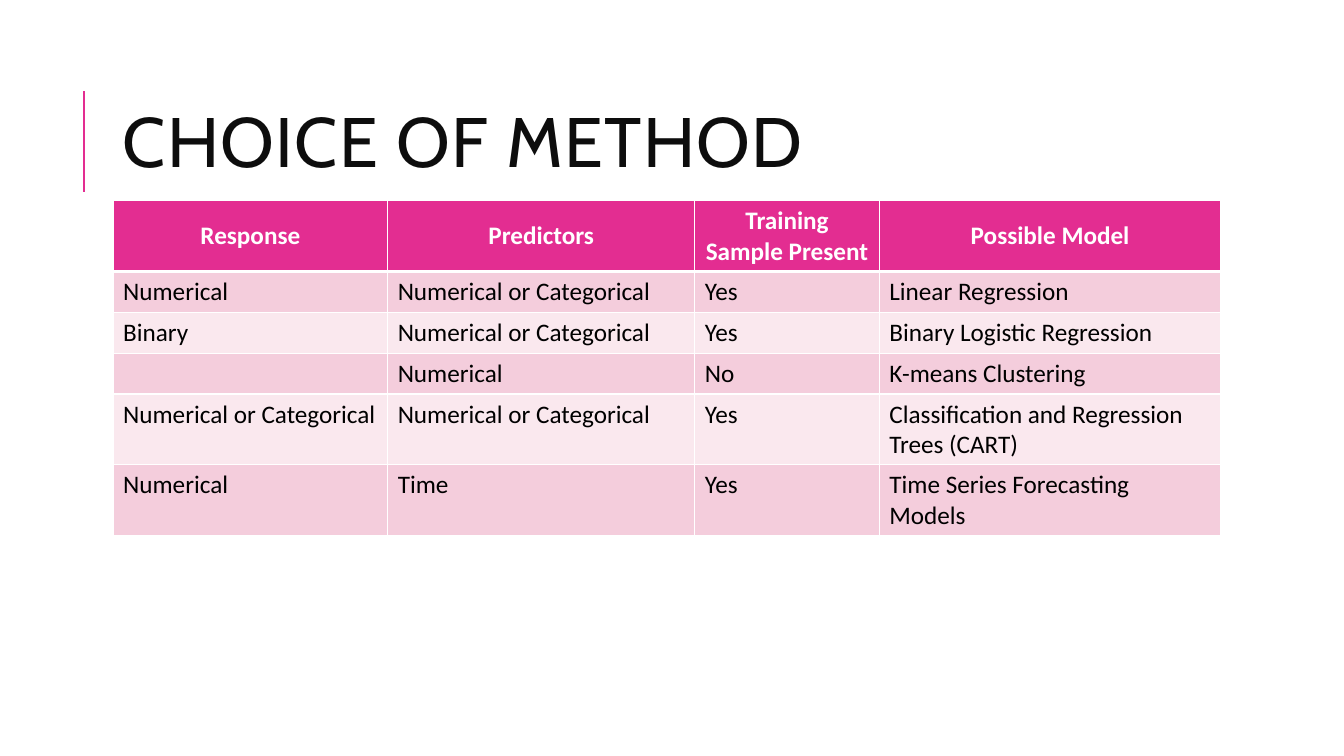
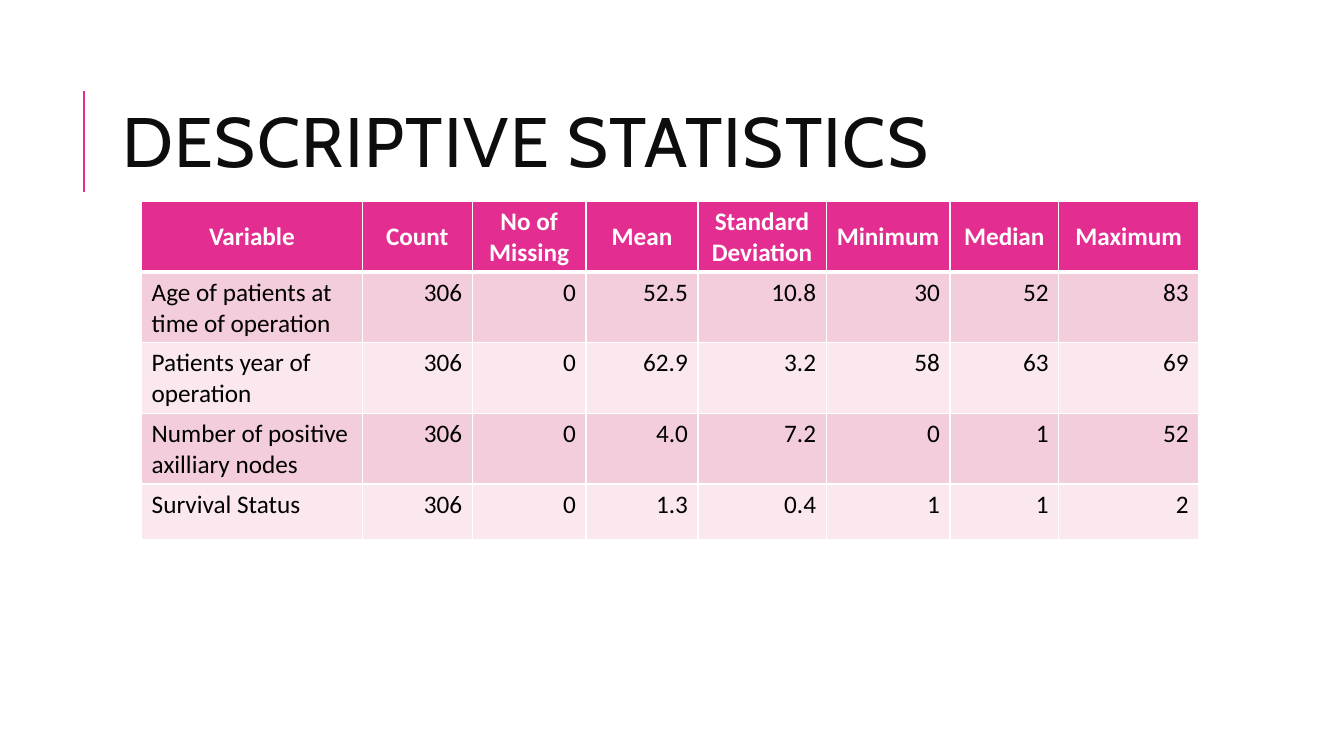
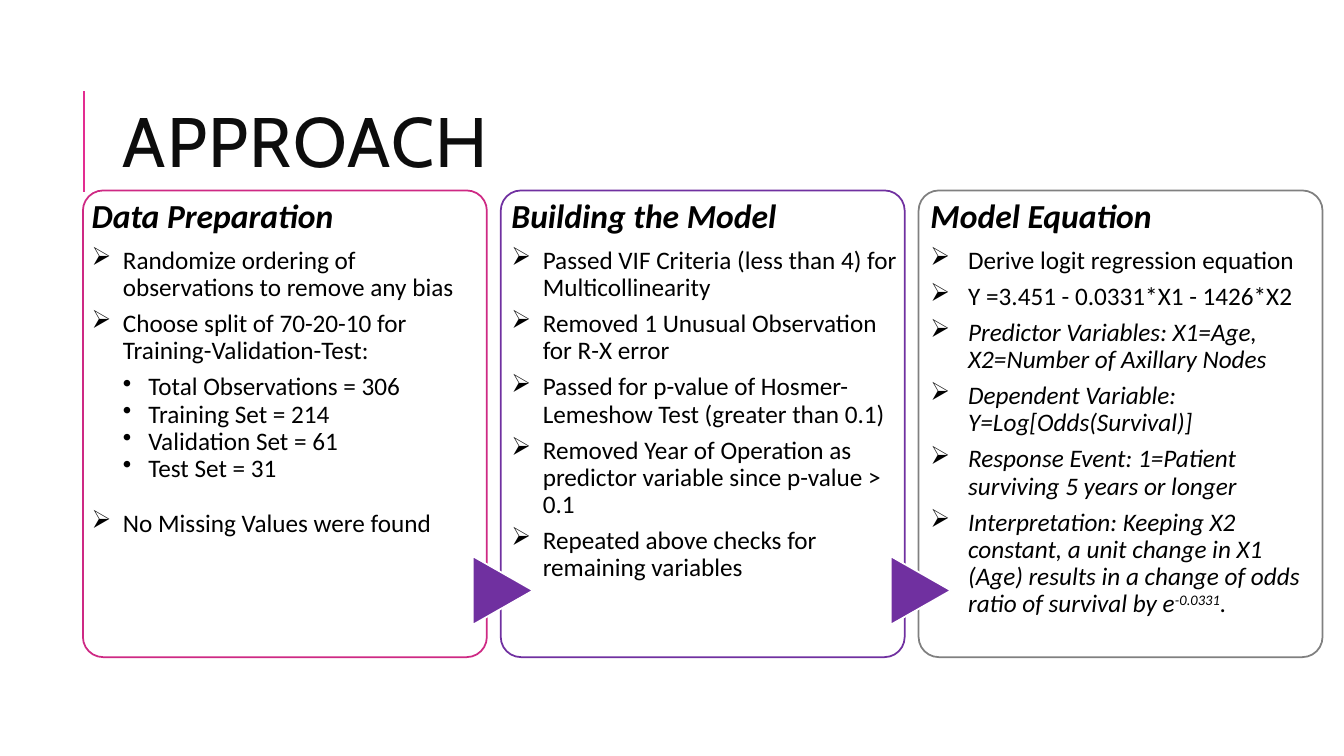
from lxml import etree
from pptx import Presentation
from pptx.dml.color import RGBColor
from pptx.enum.shapes import MSO_CONNECTOR, MSO_SHAPE
from pptx.enum.text import MSO_ANCHOR, PP_ALIGN
from pptx.oxml.ns import qn
from pptx.util import Cm, Pt

LEFT, MID, RIGHT = PP_ALIGN.LEFT, PP_ALIGN.CENTER, PP_ALIGN.RIGHT
TOP, MIDDLE = MSO_ANCHOR.TOP, MSO_ANCHOR.MIDDLE
ROUND, ARROW = MSO_SHAPE.ROUNDED_RECTANGLE, MSO_SHAPE.FLOWCHART_EXTRACT
STRAIGHT = MSO_CONNECTOR.STRAIGHT

COLORS = {
    "pink": "E32D91", "rose": "CE2984", "purple": "7030A0", "gray": "808080",
    "dark": "F4CDDC", "light": "FAE8EE", "white": "FFFFFF",
    "black": "000000", "title": "0D0D0D",
}
HEAD, BODY = "Cabin", "Calibri"

METHODS = [
    ["Response", "Predictors", "Training Sample Present", "Possible Model"],
    ["Numerical", "Numerical or Categorical", "Yes", "Linear Regression"],
    ["Binary", "Numerical or Categorical", "Yes", "Binary Logistic Regression"],
    ["", "Numerical", "No", "K-means Clustering"],
    ["Numerical or Categorical", "Numerical or Categorical", "Yes",
     "Classification and Regression Trees (CART)"],
    ["Numerical", "Time", "Yes", "Time Series Forecasting Models"],
]
STATS = [
    ["Variable", "Count", "No of Missing", "Mean", "Standard\nDeviation",
     "Minimum", "Median", "Maximum"],
    ["Age of patients at time of operation",
     "306", "0", "52.5", "10.8", "30", "52", "83"],
    ["Patients year of operation",
     "306", "0", "62.9", "3.2", "58", "63", "69"],
    ["Number of positive axilliary nodes",
     "306", "0", "4.0", "7.2", "0", "1", "52"],
    ["Survival Status", "306", "0", "1.3", "0.4", "1", "1", "2"],
]

# Each step: heading, outline colour, text inset, bullet indent, items.
# An item is its kind and its runs; a run that starts with ^ is raised.
STEPS = [
    ("Data Preparation", "rose", 0.22, 0.79, [
        ("main", "Randomize ordering of observations to remove any bias"),
        ("main", "Choose split of 70-20-10 for Training-Validation-Test:"),
        ("sub", "Total Observations = 306"),
        ("sub", "Training Set = 214"),
        ("sub", "Validation Set = 61"),
        ("sub", "Test Set = 31"),
        ("apart", "No Missing Values were found"),
    ]),
    ("Building the Model", "purple", 0.27, 0.79, [
        ("main", "Passed VIF Criteria (less than 4) for Multicollinearity"),
        ("main", "Removed 1 Unusual Observation for R-X error"),
        ("main", "Passed for p-value of Hosmer-Lemeshow Test "
                 "(greater than 0.1)"),
        ("main", "Removed Year of Operation as predictor variable since "
                 "p-value > 0.1"),
        ("main", "Repeated above checks for remaining variables"),
    ]),
    ("Model Equation", "gray", 0.3, 0.95, [
        ("main", "Derive logit regression equation"),
        ("main", "Y =3.451 - 0.0331*X1 - 1426*X2"),
        ("slant", "Predictor Variables: X1=Age, X2=Number of Axillary Nodes"),
        ("slant", "Dependent Variable: Y=Log[Odds(Survival)]"),
        ("slant", "Response Event: 1=Patient surviving 5 years or longer"),
        ("slant", "Interpretation: Keeping X2 constant, a unit change in X1 "
                  "(Age) results in a change of odds ratio of survival by e",
         "^-0.0331", "."),
    ]),
]


def rgb(name):
    """Return the named colour."""
    return RGBColor.from_string(COLORS[name])


def add_run(para, text, size=18, color="black", face=BODY,
            bold=False, slant=False):
    """Add one styled run to a paragraph."""
    run = para.add_run()
    run.text = text
    font = run.font
    font.name, font.size = face, Pt(size)
    font.bold, font.italic = bold, slant
    font.color.rgb = rgb(color)
    return run


def add_box(slide, left, top, width, height):
    """Add a wrapping text box and return its frame."""
    frame = slide.shapes.add_textbox(
        Cm(left), Cm(top), Cm(width), Cm(height)).text_frame
    frame.word_wrap = True
    return frame


def add_form(slide, kind, box, fill, line):
    """Add a filled and outlined preset shape."""
    form = slide.shapes.add_shape(kind, *[Cm(size) for size in box])
    form.shadow.inherit = False
    form.fill.solid()
    form.fill.fore_color.rgb = rgb(fill)
    form.line.color.rgb = rgb(line)
    form.line.width = Pt(1.25)
    return form


def start_slide(deck, title):
    """Add a blank slide with the side rule and the title."""
    slide = deck.slides.add_slide(deck.slide_layouts[6])
    rule = slide.shapes.add_connector(
        STRAIGHT, Cm(2.11), Cm(4.83), Cm(2.11), Cm(2.29))
    rule.line.color.rgb = rgb("pink")
    rule.line.width = Pt(1.5)
    etree.SubElement(rule.element.spPr, qn("a:effectLst"))
    frame = add_box(slide, 2.84, 1.63, 27, 4.17)
    frame.vertical_anchor = MIDDLE
    para = frame.paragraphs[0]
    para.line_spacing = 0.8
    run = add_run(para, title, 50, "title", HEAD)
    run.font.element.set("spc", "100") if hasattr(run.font, "element") \
        else run._r.get_or_add_rPr().set("spc", "100")
    return slide


def add_edges(cell, low):
    """Draw white cell borders; low is the width of the bottom one."""
    props = cell._tc.get_or_add_tcPr()
    for side, width in (("L", 1), ("R", 1), ("T", 1), ("B", low)):
        edge = etree.SubElement(props, qn("a:ln" + side), w=str(Pt(width)))
        fill = etree.SubElement(edge, qn("a:solidFill"))
        etree.SubElement(fill, qn("a:srgbClr"), val=COLORS["white"])


def fill_cell(cell, text, fill, align, head):
    """Style one table cell and write its text."""
    add_edges(cell, 3 if head else 1)
    cell.fill.solid()
    cell.fill.fore_color.rgb = rgb(fill)
    cell.vertical_anchor = MIDDLE if head else TOP
    frame = cell.text_frame
    for n, part in enumerate(text.split("\n")):
        para = frame.add_paragraph() if n else frame.paragraphs[0]
        para.alignment = align
        if part:
            add_run(para, part, color="white" if head else "black", bold=head)


def add_grid(slide, left, top, widths, height, rows, align):
    """Add a banded table; align is for body cells after the first column."""
    table = slide.shapes.add_table(
        len(rows), len(widths), Cm(left), Cm(top),
        Cm(sum(widths)), Cm(height * len(rows))).table
    table.first_row = table.horz_banding = False
    for col, width in zip(table.columns, widths):
        col.width = Cm(width)
    for r, row in enumerate(rows):
        table.rows[r].height = Cm(height)
        fill = ("light", "dark")[r % 2] if r else "pink"
        for c, text in enumerate(row):
            side = MID if r == 0 else align if c else LEFT
            fill_cell(table.cell(r, c), text, fill, side, r == 0)


def add_item(frame, kind, texts, indent):
    """Add one bulleted paragraph."""
    para = frame.add_paragraph()
    para.line_spacing = 0.9
    sub = kind == "sub"
    para.space_before = Pt(19.5 if kind == "apart" else 0)
    para.space_after = Pt(0 if sub else 6.3)
    hang = 0.64 if sub else indent
    props = para._p.get_or_add_pPr()
    props.set("marL", str(Cm(indent + hang if sub else indent)))
    props.set("indent", str(-Cm(hang)))
    etree.SubElement(props, qn("a:buChar"), char="•" if sub else "➢")
    for text in texts:
        run = add_run(para, text.lstrip("^"), slant=kind == "slant")
        if text.startswith("^"):
            run._r.get_or_add_rPr().set("baseline", "30000")


def add_step(slide, left, top, width, height, step, arrow):
    """Add one step panel, with an arrow leading into it if asked."""
    name, color, inset, indent, items = step
    panel = add_form(slide, ROUND, (left, top, width, height), "white", color)
    panel.adjustments[0] = 0.05
    if arrow:
        tip = add_form(slide, ARROW, (left - 0.81, top + 9.32, 1.73, 1.52),
                       "purple", "white")
        tip.rotation = 90
    frame = add_box(slide, left + inset, top, width - inset, height)
    frame.margin_left = frame.margin_right = frame.margin_bottom = 0
    frame.margin_top = Cm(0.23)
    head = frame.paragraphs[0]
    head.line_spacing = 0.9
    head.space_after = Pt(8.4)
    add_run(head, name, 24, bold=True, slant=True)
    for kind, *texts in items:
        add_item(frame, kind, texts, indent)


def add_steps(slide, left, top, width, height, gap):
    """Lay the step panels out in a row."""
    for n, step in enumerate(STEPS):
        add_step(slide, left + n * (width + gap), top, width, height,
                 step, n > 0)


def main():
    """Build the three slides and save them."""
    deck = Presentation()
    deck.slide_width, deck.slide_height = Cm(33.87), Cm(19.05)
    slide = start_slide(deck, "CHOICE OF METHOD")
    add_grid(slide, 2.85, 5.06, [6.92, 7.74, 4.65, 8.61], 1.03, METHODS, LEFT)
    slide = start_slide(deck, "DESCRIPTIVE STATISTICS")
    add_grid(slide, 3.57, 5.08,
             [5.56, 2.77, 2.87, 2.82, 3.23, 3.12, 2.74, 3.53],
             1.39, STATS, RIGHT)
    slide = start_slide(deck, "APPROACH")
    add_steps(slide, 2.09, 4.8, 10.18, 11.76, 0.35)
    deck.save("out.pptx")


main()
